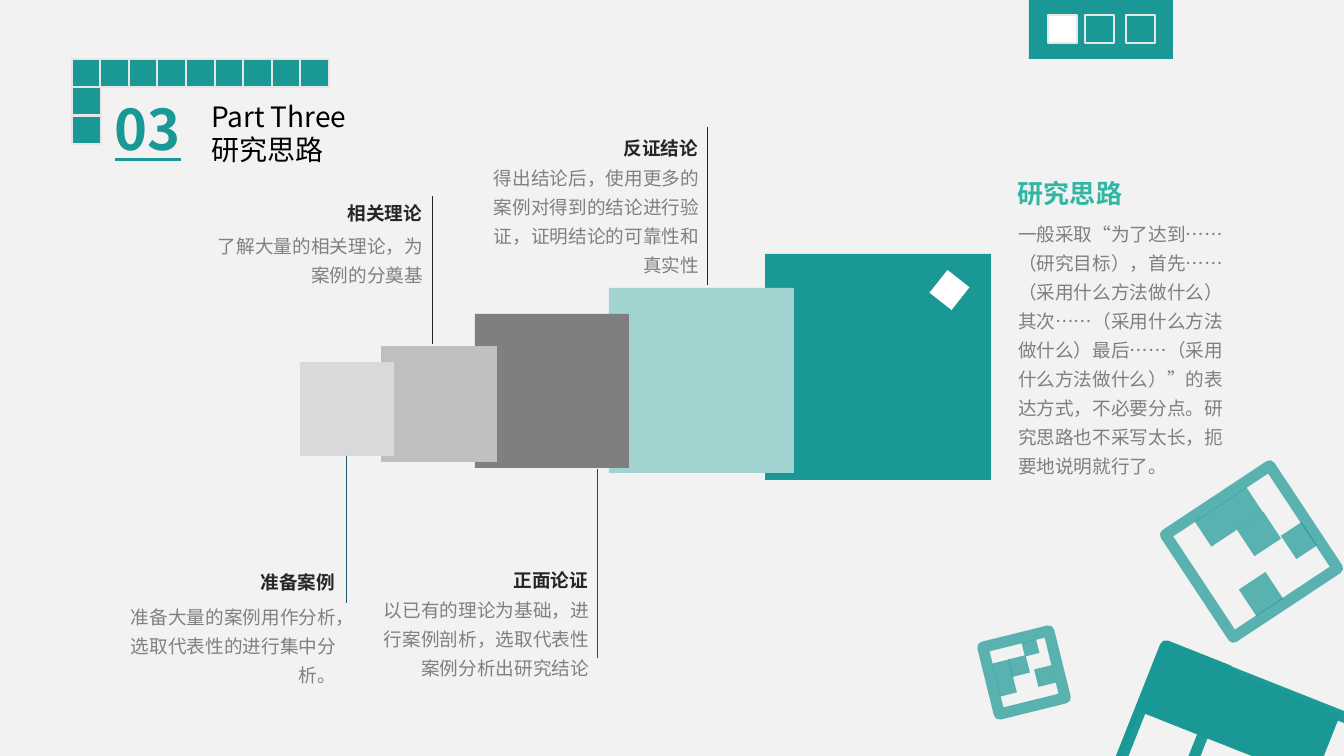
from lxml import etree
from pptx import Presentation
from pptx.dml.color import RGBColor
from pptx.enum.shapes import MSO_CONNECTOR, MSO_SHAPE
from pptx.enum.text import MSO_ANCHOR, MSO_AUTO_SIZE, PP_ALIGN
from pptx.oxml.ns import qn
from pptx.util import Emu, Pt

RECT, STRAIGHT = MSO_SHAPE.RECTANGLE, MSO_CONNECTOR.STRAIGHT
LEFT, RIGHT = PP_ALIGN.LEFT, PP_ALIGN.RIGHT
TOP, FIXED = MSO_ANCHOR.TOP, MSO_AUTO_SIZE.NONE
BOTTOM_SIDE = 2
FONT = "Noto Sans CJK SC"
COLORS = {
    "paper": "F2F2F2", "teal": "1A9895", "edge": "E7E6E6", "white": "FFFFFF",
    "mint": "A1D3D0", "dark": "7F7F7F", "mid": "BFBFBF", "light": "D9D9D9",
    "ink": "262626", "rule": "404040", "navy": "215968", "gray": "808080",
    "accent": "2FB7A3", "black": "000000",
}
FORMATS = {
    "number": {"size": Pt(40), "bold": True, "underline": True},
    "title": {"size": Pt(20), "bold": False},
    "heading": {"size": Pt(18.6), "bold": True},
    "label": {"size": Pt(13.3), "bold": True},
    "detail": {"size": Pt(13.3), "bold": False},
}


def px(length):
    """Turn pixels into EMU."""
    return Emu(round(length * 914400 / 100.8))


def rgb(name):
    """Look up a named colour."""
    return RGBColor.from_string(COLORS[name])


def fade(paint, percent):
    """Make a painted XML element partly transparent."""
    for color in paint.iter(qn("a:srgbClr")):
        etree.SubElement(color, qn("a:alpha")).set("val", str(percent * 1000))


class SlideBuilder:
    """Draws styled elements on the current slide."""

    def __init__(self, slide):
        """Keep the slide and paint its background."""
        self.slide = slide
        slide.background.fill.solid()
        slide.background.fill.fore_color.rgb = rgb("paper")

    def block(self, box, fill, edge=None, width=1.5, turn=0, fill_alpha=100, edge_alpha=100):
        """Draw a rectangle."""
        shape = self.slide.shapes.add_shape(RECT, *map(px, box))
        shape.shadow.inherit = False
        shape.rotation = turn
        shape.fill.solid()
        shape.fill.fore_color.rgb = rgb(fill)
        properties = shape.element.spPr
        if fill_alpha < 100:
            fade(properties.find(qn("a:solidFill")), fill_alpha)
        if edge:
            shape.line.color.rgb = rgb(edge)
            shape.line.width = Pt(width)
            if edge_alpha < 100:
                fade(properties.find(qn("a:ln")), edge_alpha)
        else:
            shape.line.fill.background()
        return shape

    def leader(self, x, top, bottom, color, source=None):
        """Draw a vertical leader line."""
        line = self.slide.shapes.add_connector(STRAIGHT, px(x), px(top), px(x), px(bottom))
        if source:
            line.begin_connect(source, BOTTOM_SIDE)
        line.line.color.rgb = rgb(color)
        line.line.width = Pt(0.75)
        etree.SubElement(line.element.spPr, qn("a:effectLst"))

    def set_text(self, holder, box, lines, style, color, align=LEFT, spacing=1.0):
        """Place a text holder and fill it with formatted paragraphs."""
        holder.left, holder.top, holder.width, holder.height = map(px, box)
        frame = holder.text_frame
        frame_format = {"word_wrap": True, "auto_size": FIXED, "vertical_anchor": TOP}
        for name, value in frame_format.items():
            setattr(frame, name, value)
        frame.text = "\n".join(lines)
        for paragraph in frame.paragraphs:
            properties = paragraph._p.get_or_add_pPr()
            properties.set("marL", "0")
            properties.set("indent", "0")
            etree.SubElement(properties, qn("a:buNone"))
            layout = {"alignment": align, "line_spacing": spacing, "space_before": Pt(0)}
            for name, value in layout.items():
                setattr(paragraph, name, value)
            for run in paragraph.runs:
                for name, value in {"name": FONT, **FORMATS[style]}.items():
                    setattr(run.font, name, value)
                run.font.color.rgb = rgb(color)
                east_asian = etree.SubElement(run._r.get_or_add_rPr(), qn("a:ea"))
                east_asian.set("typeface", FONT)

    def text(self, box, *args, **kwargs):
        """Add a text box."""
        self.set_text(self.slide.shapes.add_textbox(*map(px, box)), box, *args, **kwargs)

    def tile_mark(self, box, turn, cells):
        """Draw a tilted frame with translucent cells."""
        self.block(box, "paper", "teal", 8, turn, edge_alpha=70)
        for cell in cells:
            self.block(cell, "teal", turn=turn, fill_alpha=70)


def main():
    """Build and save the slide."""
    deck = Presentation()
    deck.slide_width, deck.slide_height = px(1344), px(756)
    slide = deck.slides.add_slide(deck.slide_layouts[1])
    page = SlideBuilder(slide)

    corner = [(column, 0) for column in range(9)] + [(0, 1), (0, 2)]
    for column, row in corner:
        page.block((72 + column * 143 // 5, 59 + row * 143 // 5, 29, 28), "teal", "edge")

    window = [
        ((1176, 639, 134, 220), "paper", 8), ((1218, 732, 133, 65), "teal", 1.5),
        ((1107, 686, 132, 67), "paper", 8), ((1176, 639, 69, 125), "teal", 1.5),
    ]
    for box, fill, width in window:
        page.block(box, fill, "teal", width, 291.6, edge_alpha=96)
    page.tile_mark((1190, 489, 123, 125), 236.5, [
        (1285, 528, 28, 25), (1245, 578, 32, 32), (1243, 518, 32, 32), (1214, 486, 30, 62)])
    page.tile_mark((990, 638, 68, 69), 166.1, [
        (1023, 641, 15, 14), (1036, 667, 18, 18), (1010, 657, 18, 18), (996, 661, 17, 34)])

    page.block((1029, 0, 144, 59), "teal")
    for x, fill in [(1048, "white"), (1085, "teal"), (1126, "teal")]:
        page.block((x, 15, 29, 28), fill, "edge")

    stages = [
        (765, 254, 226, "teal"), (609, 288, 185, "mint"), (475, 314, 154, "dark"),
        (381, 346, 116, "mid"), (300, 362, 94, "light"),
    ]
    for x, y, side, fill in stages:
        first_stage = page.block((x, y, side, side), fill)
    page.block((935, 276, 29, 28), "white", turn=128.3)

    page.leader(708, 127, 285, "ink")
    page.leader(433, 196, 344, "ink")
    page.leader(598, 469, 658, "rule")
    page.leader(347, 456, 603, "navy", first_stage)

    steps = [
        ("准备案例", (180, 566, 165, 33), (110, 594, 236, 99),
         "准备大量的案例用作分析，选取代表性的进行集中分析。"),
        ("相关理论", (266, 197, 166, 33), (197, 223, 236, 70),
         "了解大量的相关理论，为案例的分奠基"),
        ("正面论证", (433, 564, 165, 33), (363, 587, 236, 99),
         "以已有的理论为基础，进行案例剖析，选取代表性案例分析出研究结论"),
        ("反证结论", (563, 132, 145, 33), (473, 155, 236, 128),
         "得出结论后，使用更多的案例对得到的结论进行验证，证明结论的可靠性和真实性"),
    ]
    for label, label_box, detail_box, detail in steps:
        page.text(label_box, [label], "label", "ink", RIGHT)
        page.text(detail_box, [detail], "detail", "gray", RIGHT, 1.3)

    page.text((105, 90, 96, 78), ["03"], "number", "teal")
    page.set_text(slide.shapes.title, (201, 94, 242, 78), ["Part Three", "研究思路"],
                  "title", "black")
    page.text((1008, 173, 128, 41), ["研究思路"], "heading", "accent")
    approach = (
        "一般采取“为了达到……（研究目标），首先……（采用什么方法做什么）其次……"
        "（采用什么方法做什么）最后……（采用什么方法做什么）”的表达方式，不必要分点。"
        "研究思路也不采写太长，扼要地说明就行了。"
    )
    page.set_text(slide.placeholders[1], (1008, 211, 231, 273), [approach], "detail", "dark",
                  spacing=1.3)
    deck.save("out.pptx")


if __name__ == "__main__":
    main()
